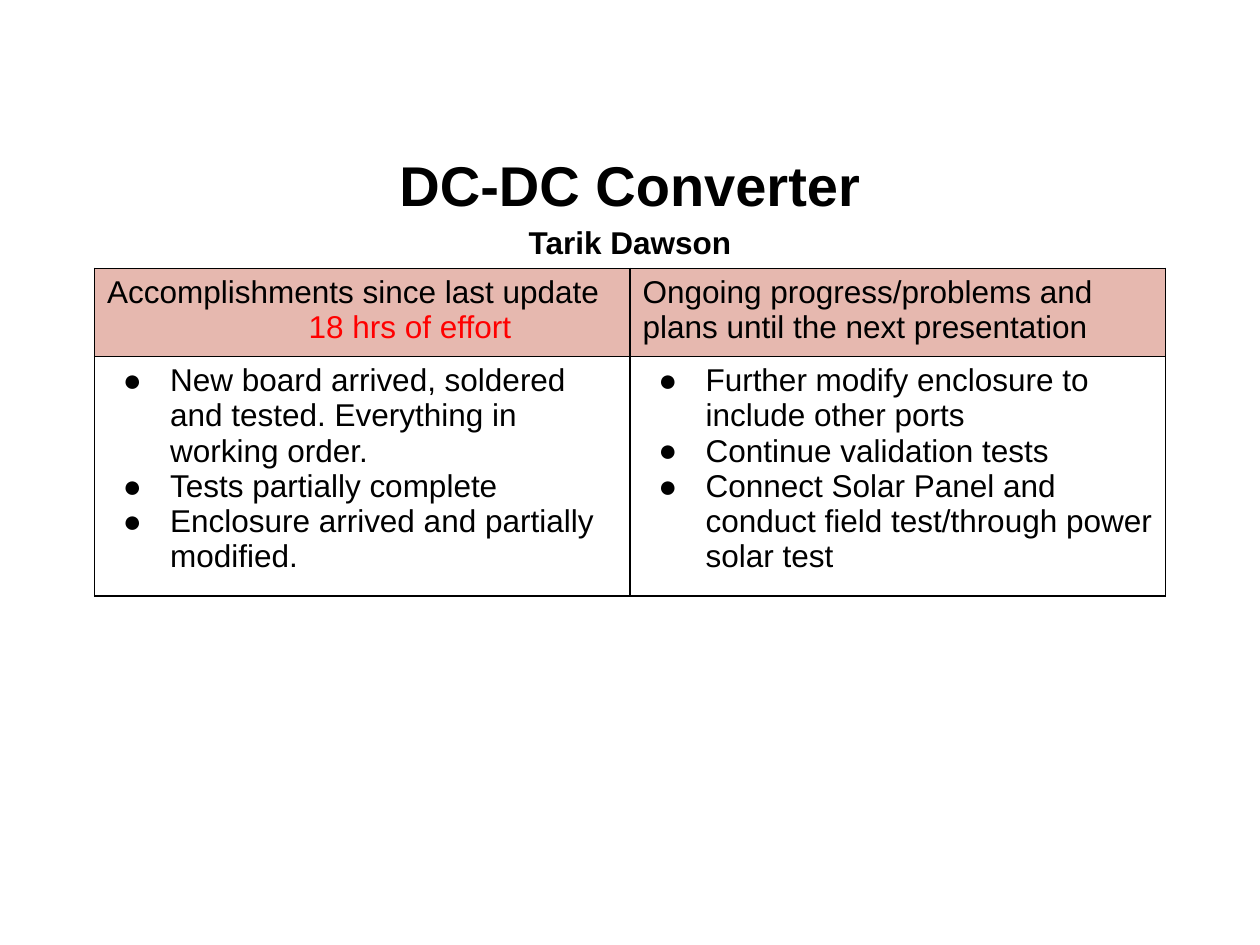
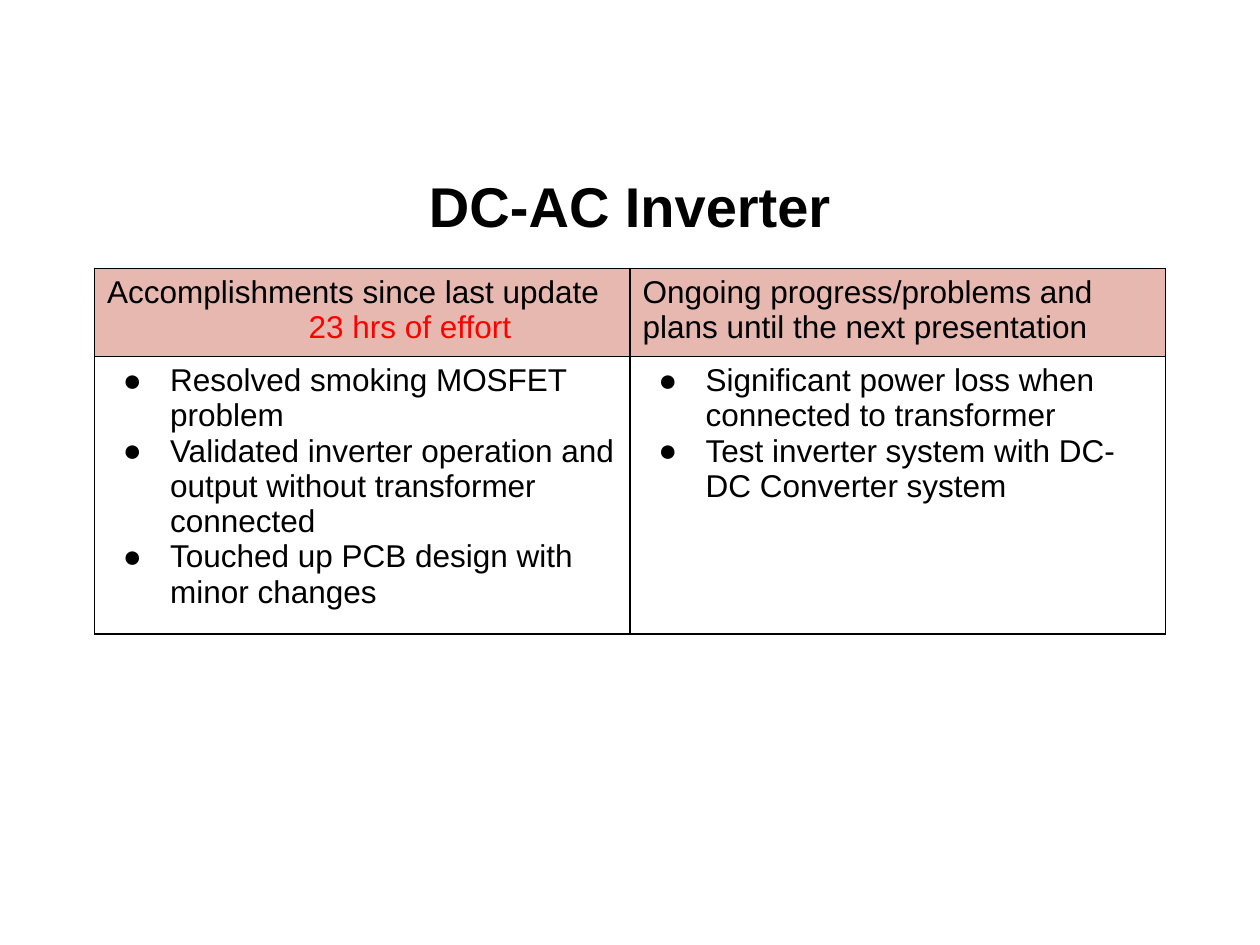
"""Build two project status slides, each a title over a two-column table."""
from lxml.etree import SubElement
from pptx import Presentation
from pptx.dml.color import RGBColor
from pptx.enum.text import MSO_ANCHOR, PP_ALIGN
from pptx.oxml import parse_xml
from pptx.oxml.ns import nsdecls, qn
from pptx.util import Pt

FONT, BLACK, RED, PINK = "Arial", "000000", "FF0000", "E6B8AF"
LEFT, COL_W, ROW_H = 54, 306, (50.4, 136.8)


def rgb(color):
    return RGBColor.from_string(color)


def add_text(tf, text, size=18, bold=False, color=BLACK, align=PP_ALIGN.LEFT,
             spacing=None, margin=0, bullet=False):
    p = tf.paragraphs[0]
    if p.runs:
        p = tf.add_paragraph()
    p.alignment = align
    p.line_spacing = spacing
    pPr = p._p.get_or_add_pPr()
    pPr.set("marL", str(Pt(margin)))
    pPr.set("indent", str(Pt(-27 if bullet else 0)))
    if bullet:
        clr = SubElement(pPr, qn("a:buClr"))
        SubElement(clr, qn("a:srgbClr"), val=color)
        SubElement(pPr, qn("a:buFont"), typeface=FONT)
        SubElement(pPr, qn("a:buChar"), char="●")
    r = p.add_run()
    r.text = text
    r.font.name, r.font.size, r.font.bold = FONT, Pt(size), bold
    r.font.color.rgb = rgb(color)


updates = [
    ("DC-DC Converter", "Tarik Dawson", "18 hrs of effort",
     ["New board arrived, soldered and tested. Everything in working order.",
      "Tests partially complete",
      "Enclosure arrived and partially modified."],
     ["Further modify enclosure to include other ports",
      "Continue validation tests",
      "Connect Solar Panel and conduct field test/through power solar test"]),
    ("DC-AC Inverter", None, "23 hrs of effort",
     ["Resolved smoking MOSFET problem",
      "Validated inverter operation and output without transformer connected",
      "Touched up PCB design with minor changes"],
     ["Significant power loss when connected to transformer",
      "Test inverter system with DC-DC Converter system"]),
]

prs = Presentation()
prs.slide_width, prs.slide_height = Pt(720), Pt(540)

for title, presenter, effort, done, plans in updates:
    s = prs.slides.add_slide(prs.slide_layouts[6])
    tf = s.shapes.add_textbox(Pt(36), Pt(82.8), Pt(648), Pt(63.36)).text_frame
    tf.word_wrap = True
    tf.vertical_anchor = MSO_ANCHOR.MIDDLE
    add_text(tf, title, size=32, bold=True, align=PP_ALIGN.CENTER, spacing=1.15)
    if presenter:
        add_text(tf, presenter, bold=True, align=PP_ALIGN.CENTER, spacing=1.15)

    table = s.shapes.add_table(2, 2, Pt(LEFT), Pt(153.36),
                               Pt(2 * COL_W), Pt(sum(ROW_H))).table
    table.first_row = table.horz_banding = False
    for col in table.columns:
        col.width = Pt(COL_W)
    for row, height in zip(table.rows, ROW_H):
        row.height = Pt(height)

    done_head = table.cell(0, 0).text_frame
    add_text(done_head, "Accomplishments since last update")
    add_text(done_head, effort, color=RED, margin=115.2)
    add_text(table.cell(0, 1).text_frame,
             "Ongoing progress/problems and plans until the next presentation")
    for c, items in enumerate((done, plans)):
        head, body = table.cell(0, c), table.cell(1, c)
        head.fill.solid()
        head.fill.fore_color.rgb = rgb(PINK)
        body.fill.background()
        for item in items:
            add_text(body.text_frame, item, margin=36, bullet=True)

    for cell in table.iter_cells():
        tcPr = cell._tc.get_or_add_tcPr()
        for i, side in enumerate("LRTB"):
            tcPr.insert(i, parse_xml(
                f'<a:ln{side} {nsdecls("a")} w="{Pt(1)}"><a:solidFill>'
                f'<a:srgbClr val="{BLACK}"/></a:solidFill></a:ln{side}>'))

prs.save("out.pptx")
